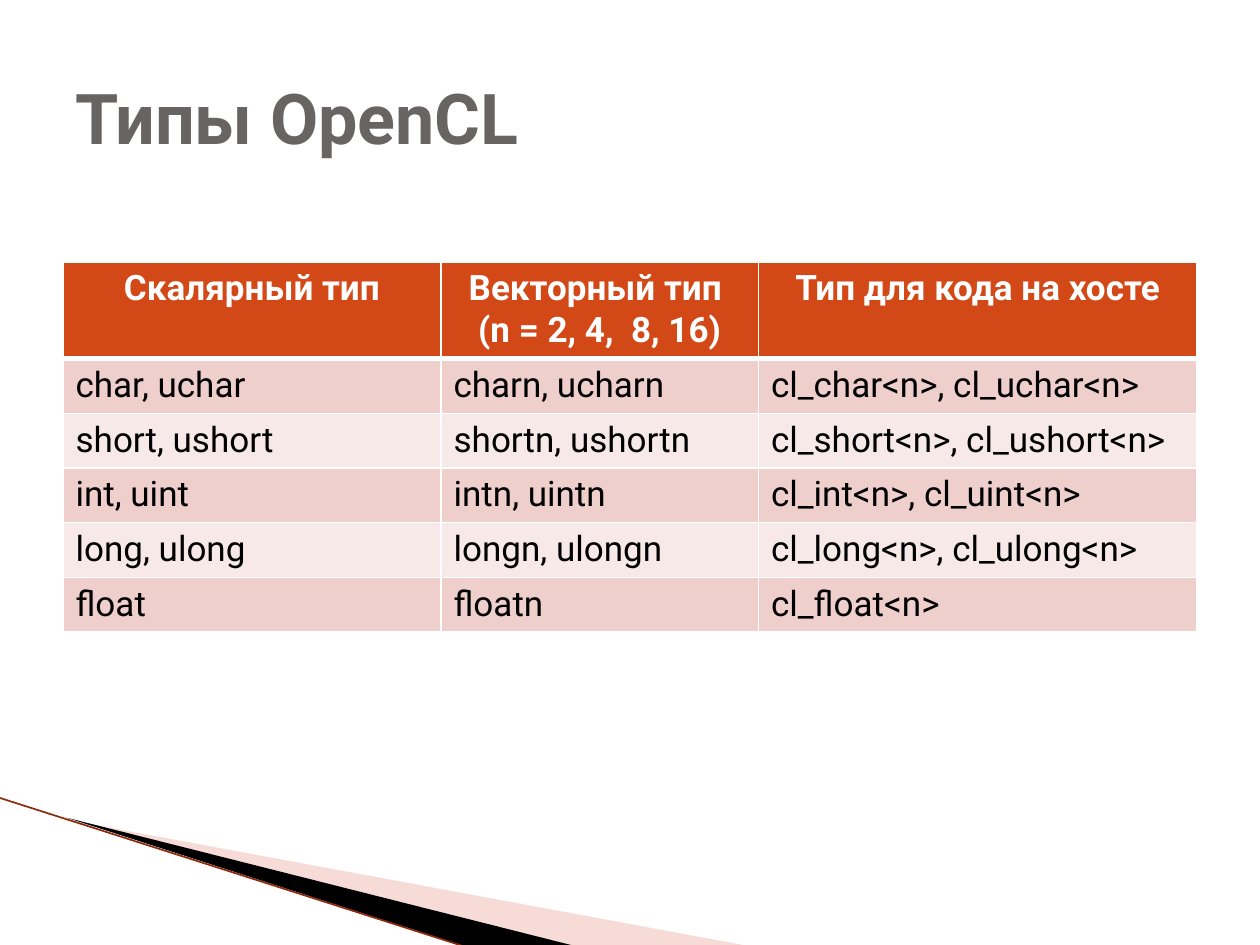
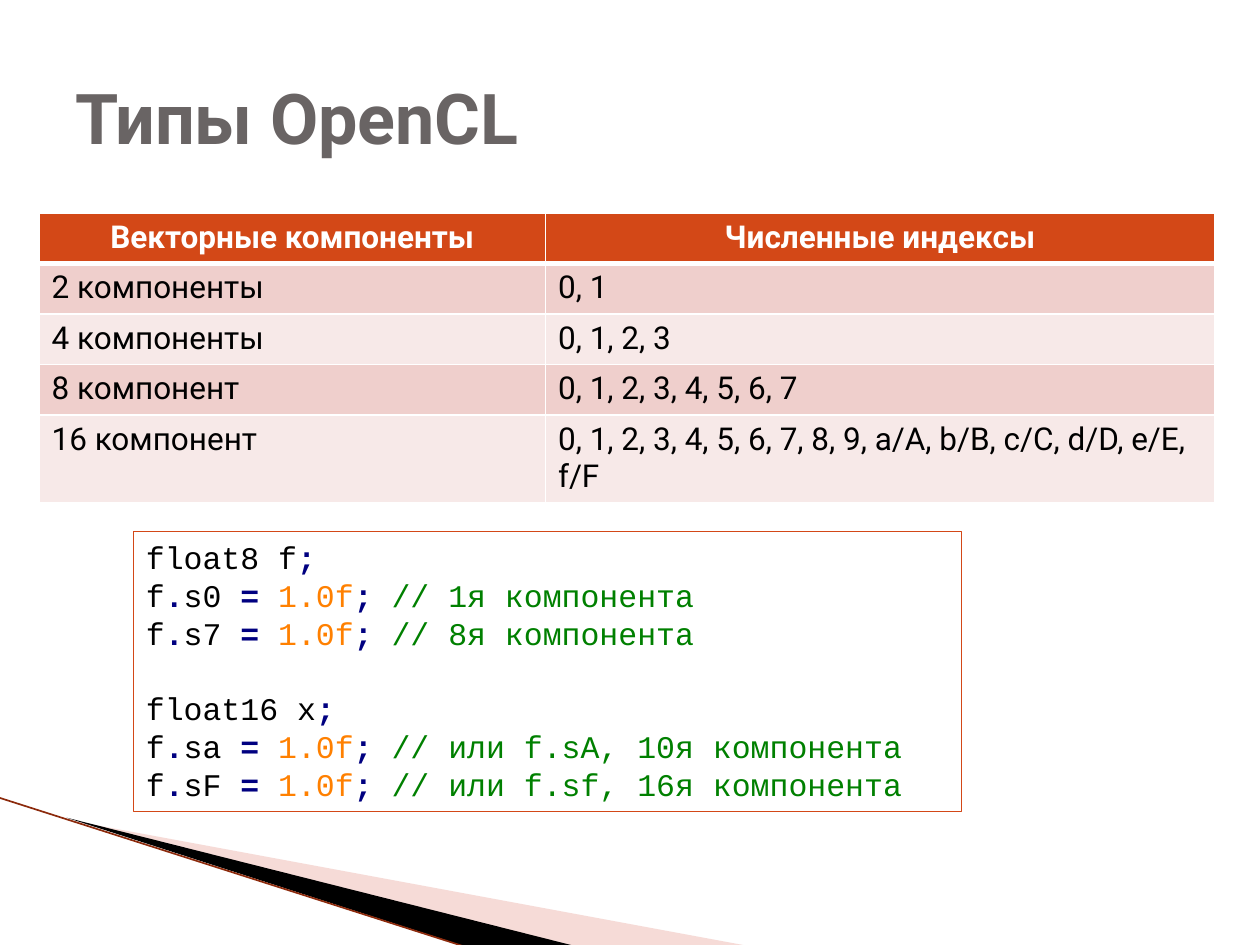
from lxml import etree
from pptx import Presentation
from pptx import util as u
from pptx.dml.color import RGBColor
from pptx.enum import shapes, text
from pptx.oxml import ns

COLORS = {
    "title": "696464", "accent": "D34817", "white": "FFFFFF", "black": "000000",
    "odd_row": "EFCFCC", "even_row": "F7E9E8", "wedge": "E9A59D", "edge": "8C2A0C",
    "operator": "000080", "number": "FF8000", "comment": "008000",
}
BODY_FONT, CODE_FONT = "Roboto", "Courier New"
TITLE = "Типы OpenCL"

TYPES = [
    ("Скалярный тип", "Векторный тип \n(n = 2, 4,  8, 16)", "Тип для кода на хосте"),
    ("char, uchar", "charn, ucharn", "cl_char<n>, cl_uchar<n>"),
    ("short, ushort", "shortn, ushortn", "cl_short<n>, cl_ushort<n>"),
    ("int, uint", "intn, uintn", "cl_int<n>, cl_uint<n>"),
    ("long, ulong", "longn, ulongn", "cl_long<n>, cl_ulong<n>"),
    ("float", "floatn", "cl_float<n>"),
]
INDEXES = [
    ("Векторные компоненты", "Численные индексы"),
    ("2 компоненты", "0, 1"),
    ("4 компоненты", "0, 1, 2, 3"),
    ("8 компонент", "0, 1, 2, 3, 4, 5, 6, 7"),
    ("16 компонент", "0, 1, 2, 3, 4, 5, 6, 7, 8, 9, a/A, b/B, c/C, d/D, e/E, f/F"),
]
CODE = [
    ("float8 f", [("s0", "1я компонента"), ("s7", "8я компонента")]),
    ("float16 x", [("sa", "или f.sA, 10я компонента"), ("sF", "или f.sf, 16я компонента")]),
]
WEDGES = [
    ([(0.55, 6.51), (5.95, 7.51), (4.56, 7.51)], "wedge", 40),
    ([(0.53, 6.49), (4.57, 7.51), (3.72, 7.52)], "black", 100),
]


def rgb(name):
    return RGBColor.from_string(COLORS[name])


def write(frame, paragraphs, size, font=BODY_FONT, color="black", bold=False,
          align=text.PP_ALIGN.LEFT, anchor=text.MSO_ANCHOR.TOP, leading=None, gaps=()):
    frame.word_wrap = True
    frame.vertical_anchor = anchor
    for number, spans in enumerate(paragraphs):
        para = frame.add_paragraph() if number else frame.paragraphs[0]
        para.alignment = align
        if leading:
            para.line_spacing = u.Pt(leading)
        if number in gaps:
            para.space_before = u.Pt(leading)
        for words, kind in ([(spans, color)] if isinstance(spans, str) else spans):
            span = para.add_run()
            span.text = words
            span.font.name, span.font.size = font, u.Pt(size)
            span.font.bold = bold or kind == "operator"
            span.font.color.rgb = rgb(kind)


def add_wedges(page):
    for points, color, opacity in WEDGES:
        corners = [(u.Inches(x), u.Inches(y)) for x, y in points]
        builder = page.shapes.build_freeform(*corners[0], scale=1.0)
        builder.add_line_segments(corners[1:], close=True)
        wedge = builder.convert_to_shape()
        wedge.shadow.inherit = False
        wedge.line.fill.background()
        wedge.fill.solid()
        wedge.fill.fore_color.rgb = rgb(color)
        if opacity < 100:
            tint = wedge._element.spPr.find(".//" + ns.qn("a:srgbClr"))
            etree.SubElement(tint, ns.qn("a:alpha"), val=str(opacity * 1000))
    edge = page.shapes.add_connector(
        shapes.MSO_CONNECTOR.STRAIGHT,
        u.Inches(-0.01), u.Inches(6.33), u.Inches(3.71), u.Inches(7.52))
    edge.line.color.rgb = rgb("edge")
    edge.line.width = u.Pt(0.95)
    etree.SubElement(edge._element.spPr, ns.qn("a:effectLst"))


def add_page(deck):
    page = deck.slides.add_slide(deck.slide_layouts[6])
    add_wedges(page)
    box = page.shapes.add_textbox(u.Inches(0.5), u.Inches(0.3), u.Inches(9), u.Inches(1.25))
    write(box.text_frame, [TITLE], 40, color="title", bold=True, anchor=text.MSO_ANCHOR.MIDDLE)
    return page


def add_borders(cell, bottom):
    properties = cell._tc.get_or_add_tcPr()
    for place, (side, width) in enumerate([("L", 1), ("R", 1), ("T", 1), ("B", bottom)]):
        border = etree.Element(ns.qn("a:ln" + side), w=str(u.Pt(width)))
        fill = etree.SubElement(border, ns.qn("a:solidFill"))
        etree.SubElement(fill, ns.qn("a:srgbClr"), val=COLORS["white"])
        properties.insert(place, border)


def add_grid(page, rows, left, top, widths, heights, size):
    grid = page.shapes.add_table(
        len(rows), len(widths), u.Inches(left), u.Inches(top),
        u.Inches(sum(widths)), u.Inches(sum(heights))).table
    for column, width in zip(grid.columns, widths):
        column.width = u.Inches(width)
    for number, (row, height) in enumerate(zip(rows, heights)):
        grid.rows[number].height = u.Inches(height)
        header = number == 0
        band = "accent" if header else "odd_row" if number % 2 else "even_row"
        for place, words in enumerate(row):
            cell = grid.cell(number, place)
            cell.fill.solid()
            cell.fill.fore_color.rgb = rgb(band)
            add_borders(cell, 3 if header else 1)
            write(cell.text_frame, words.split("\n"), size, bold=header,
                  color="white" if header else "black",
                  align=text.PP_ALIGN.CENTER if header else text.PP_ALIGN.LEFT)


def assignment(component, comment):
    return [("f", "black"), (".", "operator"), (component + " ", "black"), ("=", "operator"),
            (" ", "black"), ("1.0f", "number"), (";", "operator"), (" ", "black"),
            ("// " + comment, "comment")]


def add_code(page):
    lines, starts = [], []
    for declaration, assignments in CODE:
        starts.append(len(lines))
        lines.append([(declaration, "black"), (";", "operator")])
        lines += [assignment(*parts) for parts in assignments]
    box = page.shapes.add_shape(shapes.MSO_SHAPE.RECTANGLE, u.Inches(1.06), u.Inches(4.22),
                                u.Inches(6.57), u.Inches(2.22))
    box.shadow.inherit = False
    box.fill.background()
    box.line.color.rgb = rgb("accent")
    box.line.width = u.Pt(0.75)
    write(box.text_frame, lines, 18, font=CODE_FONT, leading=21.6, gaps=starts[1:])


deck = Presentation()
deck.slide_width, deck.slide_height = u.Inches(10), u.Inches(7.5)

types_page = add_page(deck)
add_grid(types_page, TYPES, 0.5, 2.08, [3, 2.52, 3.48], [0.41] * 6, 20)

indexes_page = add_page(deck)
add_code(indexes_page)
add_grid(indexes_page, INDEXES, 0.31, 1.69, [4.02, 5.31], [0.39] * 4 + [0.46], 18)

deck.save("out.pptx")
